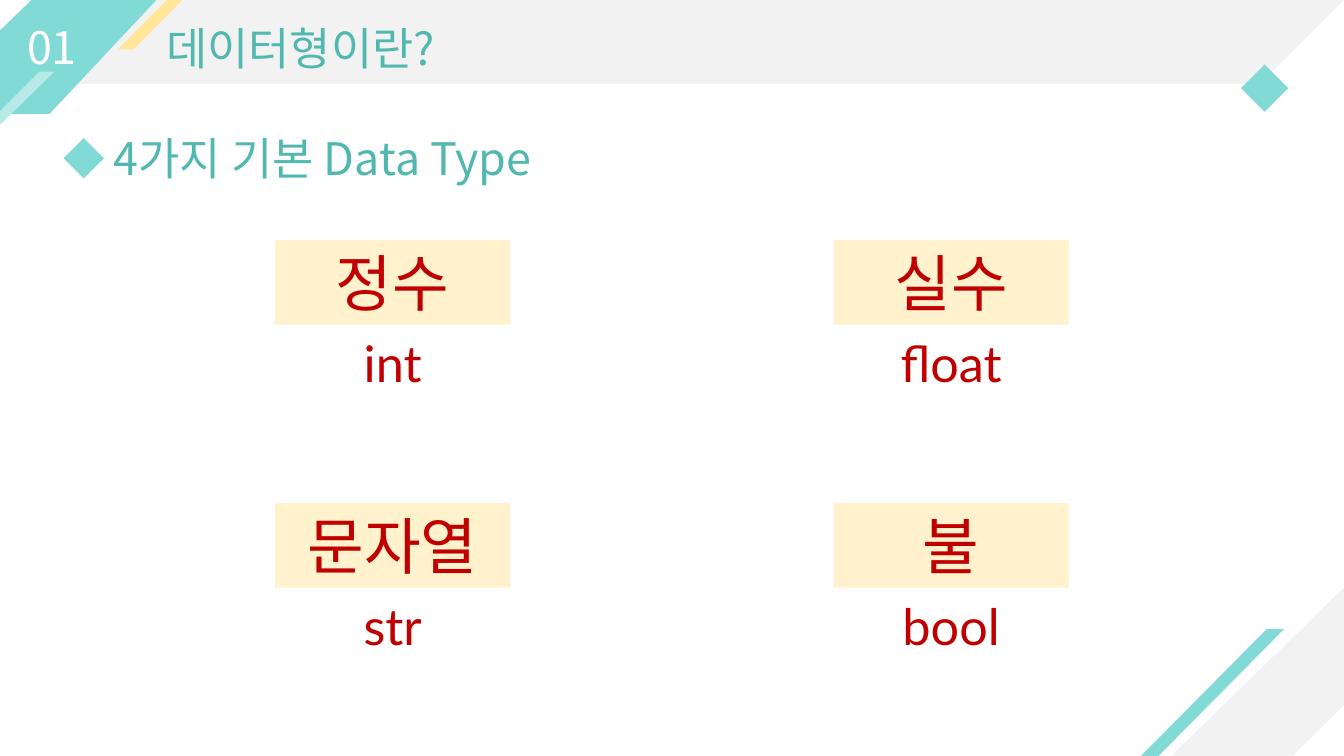
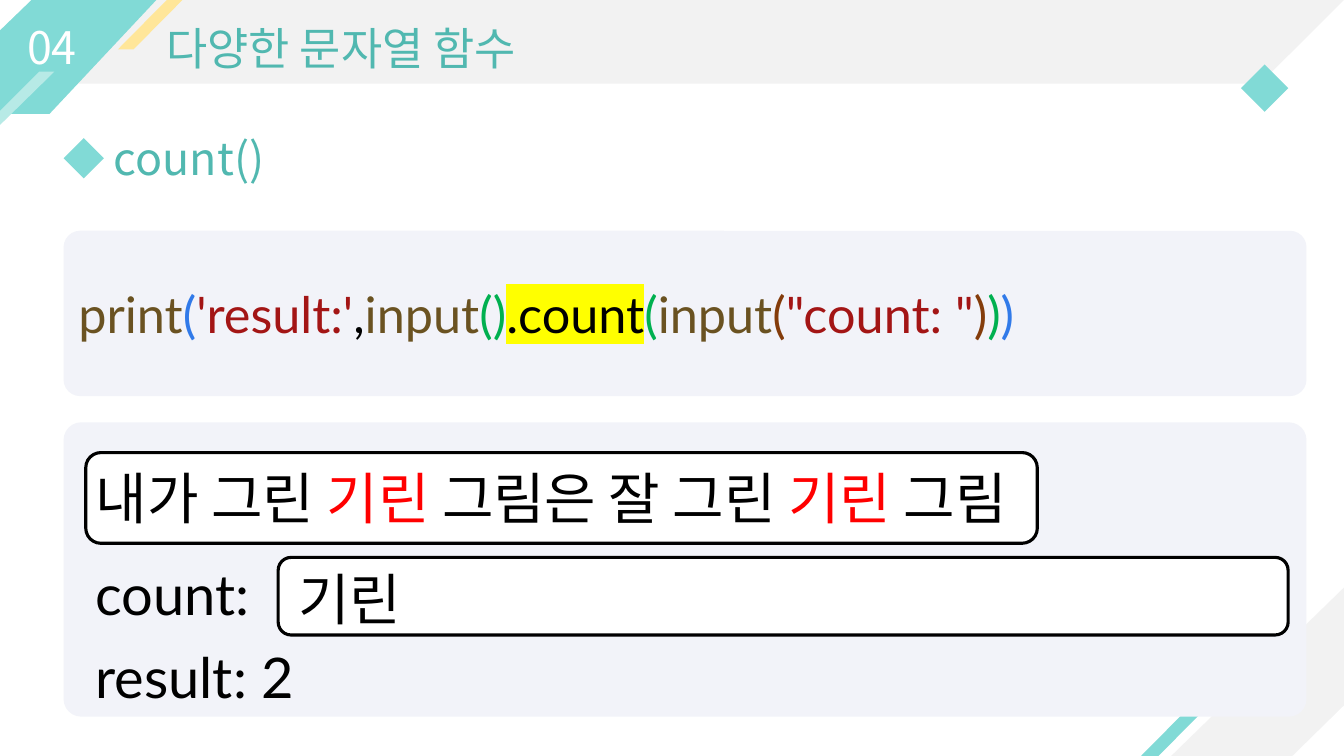
from pptx import Presentation
from pptx.dml.color import RGBColor as Rgb
from pptx.enum.shapes import MSO_SHAPE as Shape
from pptx.enum.text import MSO_ANCHOR as Anchor, MSO_AUTO_SIZE as AutoSize, PP_ALIGN as Align
from pptx.oxml.ns import qn
from pptx.util import Inches, Pt
from lxml.etree import Element, SubElement

WIDTH, HEIGHT = Inches(13.333), Inches(7.5)
KOREAN, LATIN = "Noto Sans CJK KR", "Lato"
COLORS = {
    "white": "FFFFFF", "black": "000000", "gray": "F2F2F2",
    "teal": "81DAD6", "pale_teal": "B7EAE6", "title": "51B8B0",
    "stripe": "FFE699", "card": "FFF2CC", "crimson": "C00000",
    "panel": "F2F3F9", "red": "FF0000", "marker": "FFFF00",
    "function": "6A5221", "string": "A31515",
    "blue": "317AE9", "green": "00B050", "brown": "843C0B",
}


def color(key):
    return Rgb.from_string(COLORS[key])


# Every position and size is a percentage of the slide's width or height
def across(share):
    return round(WIDTH * share / 100)


def down(share):
    return round(HEIGHT * share / 100)


def box(left, top, width, height):
    return across(left), down(top), across(width), down(height)


# Kinds of element
def paint(shape, fill, outline=None):
    shape.shadow.inherit = False
    shape.fill.solid()
    shape.fill.fore_color.rgb = color(fill)
    if outline:
        shape.line.color.rgb = color(outline)
        shape.line.width = Pt(2.25)
    else:
        shape.line.fill.background()


def add_block(slide, kind, area, fill, outline=None, adjust=None, flip=None):
    block = slide.shapes.add_shape(kind, *box(*area))
    paint(block, fill, outline)
    if adjust is not None:
        block.adjustments[0] = adjust
    if flip:
        block._element.spPr.find(qn("a:xfrm")).set(flip, "1")
    return block


def add_polygon(slide, corners, fill):
    points = [(across(x), down(y)) for x, y in corners]
    builder = slide.shapes.build_freeform(*points[0], scale=1.0)
    builder.add_line_segments(points[1:], close=True)
    paint(builder.convert_to_shape(), fill)


def format_run(run, size, font, ink, highlight=None):
    run.font.size = Pt(size)
    run.font.name = font
    run.font.color.rgb = color(ink)
    properties = run.font._element
    east_asian = Element(qn("a:ea"), typeface=font)
    properties.find(qn("a:latin")).addnext(east_asian)
    if highlight:
        marker = Element(qn("a:highlight"))
        SubElement(marker, qn("a:srgbClr"), val=COLORS[highlight])
        properties.find(qn("a:solidFill")).addnext(marker)


def write(shape, pieces, size, font, align=Align.LEFT):
    """Fill a shape with one paragraph of (text, ink[, highlight]) pieces."""
    frame = shape.text_frame
    frame.word_wrap = True
    paragraph = frame.paragraphs[0]
    paragraph.alignment = align
    for text, *look in pieces:
        run = paragraph.add_run()
        run.text = text
        format_run(run, size, font, *look)


def add_label(slide, area, pieces, size, font=KOREAN, align=Align.LEFT):
    label = slide.shapes.add_textbox(*box(*area))
    label.text_frame.auto_size = AutoSize.SHAPE_TO_FIT_TEXT
    write(label, pieces, size, font, align)


# Shared frame: title band, corner ornaments, number, title and heading
def add_frame(deck, number, title, heading):
    slide = deck.slides.add_slide(deck.slide_layouts[6])
    triangle, slanted = Shape.RIGHT_TRIANGLE, Shape.PARALLELOGRAM
    add_block(slide, triangle, (87.15, 77.73, 12.85, 22.27), "gray", flip="flipH")
    add_block(slide, slanted, (2.85, 0, 92.48, 11.07), "gray")
    add_block(slide, triangle, (93.75, 0, 6.25, 11.07), "gray", flip="flipV")
    add_block(slide, Shape.DIAMOND, (92.33, 8.53, 3.53, 6.27), "teal")
    add_polygon(slide, [(0, 0), (11.63, 0), (3.68, 15.07), (0, 15.07)], "teal")
    add_block(slide, triangle, (0, 0, 2.33, 4), "white", flip="flipV")
    add_block(slide, triangle, (96.17, 93.33, 3.83, 6.67), "white", flip="flipH")
    add_block(slide, slanted, (84.9, 83.2, 10.65, 16.8), "teal", adjust=0.99)
    add_block(slide, slanted, (8.78, 0, 4.8, 6.53), "stripe", adjust=0.99)
    add_polygon(slide, [(0, 14.67), (2.93, 9.47), (4.05, 9.47), (0, 16.53)], "pale_teal")

    add_label(slide, (0, 2, 7.73, 8.53), [(number, "white")], 32, align=Align.CENTER)
    add_label(slide, (11.63, 2.13, 37.2, 8.53), [(title, "title")], 32)
    add_block(slide, Shape.DIAMOND, (4.73, 18.27, 3, 5.33), "teal")
    add_label(slide, (7.73, 16.67, 51, 8.53), [(heading, "title")], 32)
    return slide


# Slide 1: two by two grid of types
def add_type_card(slide, column, row, meaning, keyword):
    left, top = 20.48 + 41.55 * column, 31.73 + 34.8 * row
    width, height = 17.48, 11.2
    card = add_block(slide, Shape.RECTANGLE, (left, top, width, height), "card")
    write(card, [(meaning, "crimson")], 44, KOREAN, Align.CENTER)
    add_label(slide, (left, top + 11.6, width, 9.47), [(keyword, "crimson")],
              36, LATIN, Align.CENTER)


def build_types(deck):
    slide = add_frame(deck, "01", "데이터형이란?", "4가지 기본 Data Type")
    types = [("정수", "int"), ("실수", "float"), ("문자열", "str"), ("불", "bool")]
    for index, (meaning, keyword) in enumerate(types):
        row, column = divmod(index, 2)
        add_type_card(slide, column, row, meaning, keyword)


# Slide 2: a line of code and its console session
def build_count(deck):
    slide = add_frame(deck, "04", "다양한 문자열 함수", "count()")
    rounded = Shape.ROUNDED_RECTANGLE

    code = add_block(slide, rounded, (4.73, 30.53, 92.48, 21.87), "panel", adjust=0.1)
    code.text_frame.vertical_anchor = Anchor.MIDDLE
    write(code, [
        ("print", "function"), ("(", "blue"), ("'result:'", "string"), (",", "black"),
        ("input", "function"), ("()", "green"), (".count", "black", "marker"),
        ("(", "green"), ("input", "function"), ("(", "brown"),
        ('"count: "', "string"), (")", "brown"), (")", "green"), (")", "blue"),
    ], 36, LATIN)

    add_block(slide, rounded, (4.73, 55.87, 92.48, 38.93), "panel", adjust=0.06)
    add_block(slide, rounded, (6.38, 59.87, 70.8, 12), "white", "black")
    add_label(slide, (6.38, 60.67, 81, 10.27), [
        ("내가 그린 ", "black"), ("기린", "red"), (" 그림은 잘 그린 ", "black"),
        ("기린", "red"), (" 그림", "black"),
    ], 40)
    add_label(slide, (6.38, 73.33, 14, 10.27), [("count:", "black")], 40, LATIN)
    add_block(slide, rounded, (20.7, 73.73, 75.15, 10.27), "white", "black")
    add_label(slide, (21.45, 74, 15.53, 10.27), [("기린", "black")], 40)
    add_label(slide, (6.38, 84.4, 35.33, 10.27), [("result: 2", "black")], 40, LATIN)


def main():
    deck = Presentation()
    deck.slide_width, deck.slide_height = WIDTH, HEIGHT
    build_types(deck)
    build_count(deck)
    deck.save("out.pptx")


if __name__ == "__main__":
    main()
